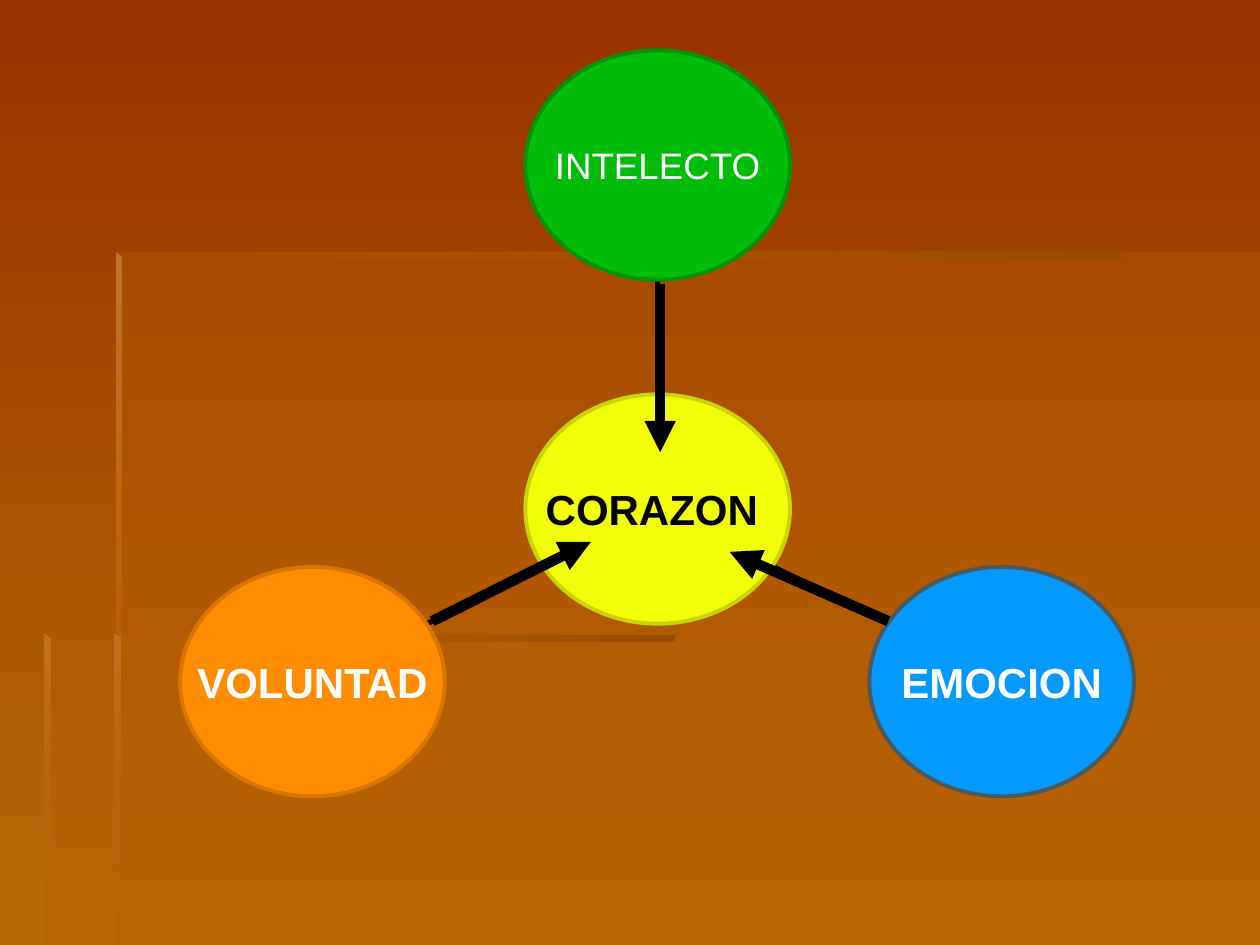
from pptx import Presentation
from pptx.dml.color import RGBColor
from pptx.enum.shapes import MSO_CONNECTOR as Connector, MSO_SHAPE as Shape
from pptx.enum.text import MSO_ANCHOR as Anchor, PP_ALIGN as Align
from pptx.oxml.ns import qn
from pptx.util import Inches, Pt
from lxml.etree import SubElement

COLUMNS, ROWS = 100, 75


def color(value):
    return RGBColor.from_string(value)


class SlideBuilder:
    font = "Arial"
    circle_size = (21, 18.2)
    outline_width = 2.25

    def __init__(self, presentation):
        self.slide = presentation.slides.add_slide(presentation.slide_layouts[6])
        self.column = presentation.slide_width / COLUMNS
        self.row = presentation.slide_height / ROWS

    def place(self, column, row):
        return round(column * self.column), round(row * self.row)

    def gradient(self, fill, colors, angle):
        fill.gradient()
        fill.gradient_angle = 360 - angle
        for stop, value in zip(fill.gradient_stops, colors):
            stop.color.rgb = color(value)

    def background(self, colors):
        self.gradient(self.slide.background.fill, colors, 90)

    def panel(self, points, colors, opacities, angle=None):
        start, *others = [self.place(*point) for point in points]
        builder = self.slide.shapes.build_freeform(*start)
        builder.add_line_segments(others, close=True)
        shape = builder.convert_to_shape()
        shape.shadow.inherit = False
        shape.line.fill.background()
        if angle is None:
            shape.fill.solid()
            shape.fill.fore_color.rgb = color(colors[0])
        else:
            self.gradient(shape.fill, colors, angle)
        fill_colors = shape._element.spPr.iter(qn("a:srgbClr"))
        for element, opacity in zip(list(fill_colors), opacities):
            if opacity < 100:
                SubElement(element, qn("a:alpha"), val=str(opacity * 1000))

    def horizontal_bar(self, left, top, right):
        bottom = top + 0.5
        points = [(left, top), (left, bottom), (right, bottom), (right, top)]
        self.panel(points, ["984D02", "BB5F03"], [100, 0], 180)

    def vertical_bar(self, left, top, bottom, end_opacity):
        right = left + 0.5
        points = [(left, top), (left, bottom), (right, bottom), (right, top + 0.4)]
        self.panel(points, ["C27221", "BB5F03"], [100, end_opacity], 90)

    def line(self, start, end, width, arrow=False):
        connector = self.slide.shapes.add_connector(
            Connector.STRAIGHT, *self.place(*start), *self.place(*end))
        connector.line.color.rgb = color("000000")
        connector.line.width = Pt(width)
        SubElement(connector._element.spPr, qn("a:effectLst"))
        if arrow:
            SubElement(connector.line._get_or_add_ln(), qn("a:tailEnd"), type="triangle")

    def circle(self, left, top, text, fill, outline, size=24, bold=True, ink="FFFFFF"):
        shape = self.slide.shapes.add_shape(
            Shape.OVAL, *self.place(left, top), *self.place(*self.circle_size))
        shape.shadow.inherit = False
        shape.fill.solid()
        shape.fill.fore_color.rgb = color(fill)
        shape.line.color.rgb = color(outline)
        shape.line.width = Pt(self.outline_width)
        frame = shape.text_frame
        frame.word_wrap = False
        frame.vertical_anchor = Anchor.MIDDLE
        frame.margin_left = frame.margin_right = 0
        frame.margin_top = frame.margin_bottom = 0
        paragraph = frame.paragraphs[0]
        paragraph.alignment = Align.CENTER
        run = paragraph.add_run()
        run.text = text
        run.font.name = self.font
        run.font.size = Pt(size)
        run.font.bold = bold
        run.font.color.rgb = color(ink)


def main():
    presentation = Presentation()
    presentation.slide_width, presentation.slide_height = Inches(10), Inches(7.5)
    builder = SlideBuilder(presentation)

    builder.background(["993300", "B76A03"])
    lower_panel = [(9.2, 50.5), (9.2, ROWS), (COLUMNS, ROWS), (COLUMNS, 50.5)]
    stepped_panel = [(9.4, 50.6), (3.6, 50.6), (3.6, ROWS),
                     (COLUMNS, ROWS), (COLUMNS, 20), (9.4, 20)]
    for points in (lower_panel, stepped_panel):
        builder.panel(points, ["BB5F03"], [30])
    builder.horizontal_bar(9.2, 20, 89.1)
    builder.vertical_bar(9.2, 20, 51, 100)
    builder.vertical_bar(9.1, 50.4, ROWS, 0)
    builder.horizontal_bar(3.5, 50.4, 53.5)
    builder.vertical_bar(3.5, 50.4, ROWS, 10)

    spokes = [((52.2, 31.3), (52.2, 22.1)),
              ((61.2, 44.9), (70.5, 49.5)),
              ((43.1, 44.9), (33.9, 49.5))]
    for start, end in spokes:
        builder.line(start, end, 3)

    builder.circle(41.7, 4, "INTELECTO", "01BD0A", "019308", size=21, bold=False)
    builder.circle(69, 45, "EMOCION", "0399FF", "4B595B")
    builder.circle(14.3, 45, "VOLUNTAD", "FF8C01", "D87600")
    builder.circle(41.7, 31.3, "CORAZON ", "F1FD09", "CAD402", ink="000000")

    arrows = [((34.3, 49.3), (46.9, 43)),
              ((52.4, 22.5), (52.4, 35.9)),
              ((70.5, 49.3), (57.9, 43.8))]
    for start, end in arrows:
        builder.line(start, end, 6, arrow=True)

    presentation.save("out.pptx")


if __name__ == "__main__":
    main()
